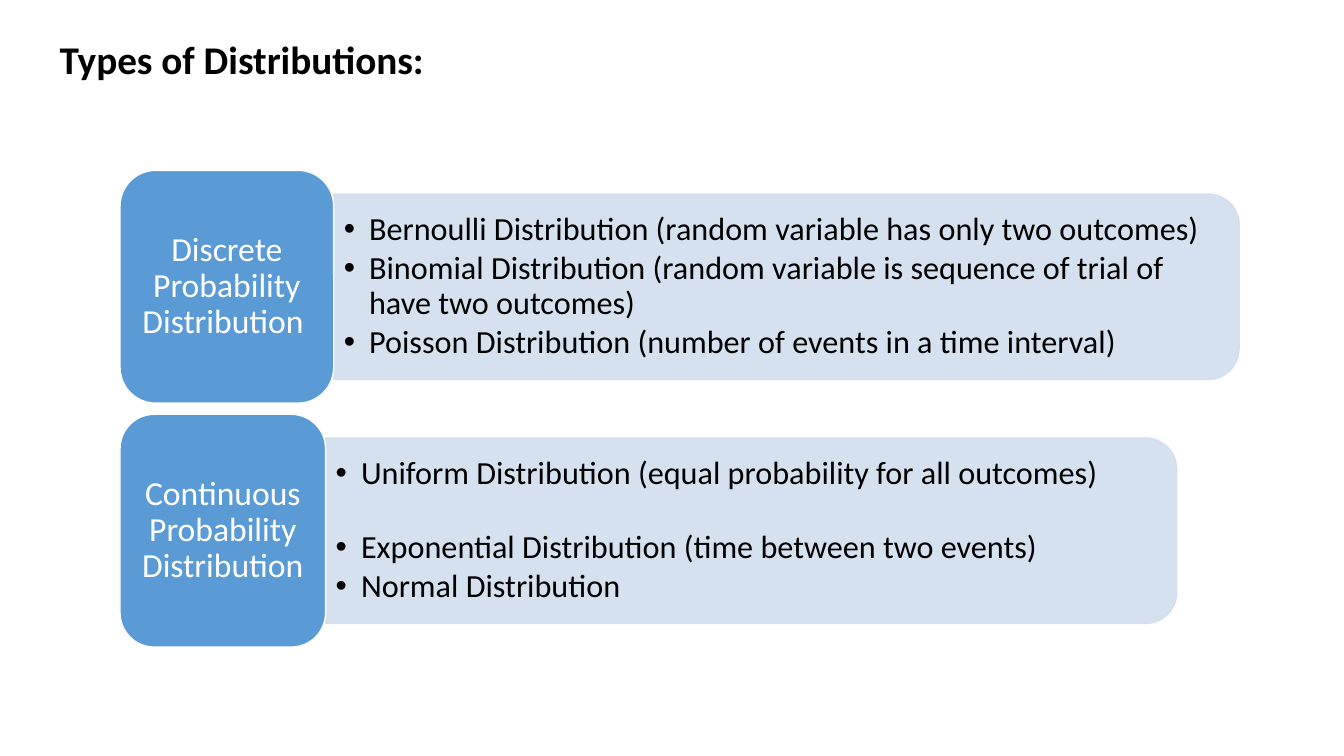
from dataclasses import dataclass

from lxml.etree import SubElement
from pptx import Presentation
from pptx.dml.color import RGBColor
from pptx.enum.shapes import MSO_SHAPE as Preset
from pptx.enum.text import MSO_ANCHOR as Anchor, MSO_AUTO_SIZE as AutoSize, PP_ALIGN as Align
from pptx.oxml.ns import qn
from pptx.shapes.autoshape import Shape
from pptx.slide import Slide
from pptx.text.text import _Paragraph as Paragraph
from pptx.util import Inches, Pt

SLIDE_WIDTH, SLIDE_HEIGHT = Inches(13.33), Inches(7.5)
FONT = "Calibri"
BLACK, WHITE, BLUE, PALE_BLUE = "000000", "FFFFFF", "5B9BD5", "D2DEEF"

# Columns and rows are hundredths of the slide's width and height.
LABEL_LEFT, LABEL_HEIGHT, LABEL_INSET = 8.93, 30.8, 0.4
PANEL_HEIGHT = 24.53
TEXT_TRIM_COLUMNS, TEXT_TRIM_ROWS = 0.67, 2.4
FIRST_CENTER, GROUP_PITCH = 37.93, 32.27
BULLET_INDENT = 1.88
BULLET_GAP = 3


@dataclass(frozen=True)
class Family:
    """A label and its list; widths in columns, first_gap in points."""
    name: str
    members: tuple[str, ...]
    label_width: float
    panel_width: float
    first_gap: float = BULLET_GAP


FAMILIES = (
    Family("Discrete Probability Distribution ", (
        "Bernoulli Distribution (random variable has only two outcomes)",
        "Binomial Distribution (random variable is sequence of trial of have two outcomes)",
        "Poisson Distribution (number of events in a time interval)",
    ), 15.9, 67.37),
    Family("Continuous Probability Distribution", (
        "Uniform Distribution (equal probability for all outcomes)",
        "Exponential Distribution (time between two events)",
        "Normal Distribution",
    ), 15.3, 63.32, first_gap=28),
)


def columns(count: float) -> int:
    return round(SLIDE_WIDTH * count / 100)


def rows(count: float) -> int:
    return round(SLIDE_HEIGHT * count / 100)


def color(value: str) -> RGBColor:
    return RGBColor.from_string(value)


def place(shape: Shape, left: int, top: int, width: int, height: int) -> None:
    shape.left, shape.top, shape.width, shape.height = left, top, width, height


def format_paragraph(paragraph: Paragraph, size: float, ink: str, align: Align,
                     bold: bool = False) -> None:
    paragraph.alignment = align
    paragraph.line_spacing = 0.9
    paragraph.space_before = Pt(0)
    font = paragraph.font
    font.name, font.size, font.bold = FONT, Pt(size), bold
    font.color.rgb = color(ink)


def add_block(slide: Slide, preset: Preset, box: tuple[int, int, int, int],
              fill: str, line: str) -> Shape:
    block = slide.shapes.add_shape(preset, *box)
    block.shadow.inherit = False
    block.fill.solid()
    block.fill.fore_color.rgb = color(fill)
    block.line.color.rgb = color(line)
    block.line.width = Pt(1)
    return block


def add_panel(slide: Slide, family: Family, center: float) -> None:
    """Draw the pale panel: a tall shape turned so its round corners face right."""
    length, thickness = columns(family.panel_width), rows(PANEL_HEIGHT)
    middle = columns(LABEL_LEFT + family.label_width) + length // 2
    box = (middle - thickness // 2, rows(center) - length // 2, thickness, length)
    panel = add_block(slide, Preset.ROUND_2_SAME_RECTANGLE, box, PALE_BLUE, PALE_BLUE)
    panel.rotation = 90
    for tint in panel.element.spPr.iter(qn("a:srgbClr")):
        SubElement(tint, qn("a:alpha"), val="90000")


def add_label(slide: Slide, family: Family, center: float) -> None:
    box = (columns(LABEL_LEFT), rows(center - LABEL_HEIGHT / 2),
           columns(family.label_width), rows(LABEL_HEIGHT))
    frame = add_block(slide, Preset.ROUNDED_RECTANGLE, box, BLUE, WHITE).text_frame
    frame.word_wrap = True
    frame.vertical_anchor = Anchor.MIDDLE
    frame.margin_left = frame.margin_right = columns(LABEL_INSET)
    frame.text = family.name
    format_paragraph(frame.paragraphs[0], 24, WHITE, Align.CENTER)


def fill_list(body: Shape, family: Family, center: float) -> None:
    height = PANEL_HEIGHT - TEXT_TRIM_ROWS
    place(body, columns(LABEL_LEFT + family.label_width), rows(center - height / 2),
          columns(family.panel_width - TEXT_TRIM_COLUMNS), rows(height))
    frame = body.text_frame
    frame.auto_size = AutoSize.NONE
    frame.vertical_anchor = Anchor.MIDDLE
    frame.text = "\n".join(family.members)
    for index, paragraph in enumerate(frame.paragraphs):
        properties = paragraph._p.get_or_add_pPr()
        properties.set("marL", str(columns(BULLET_INDENT)))
        properties.set("indent", str(-columns(BULLET_INDENT)))
        SubElement(properties, qn("a:buChar"), char="•")
        format_paragraph(paragraph, 23, BLACK, Align.LEFT)
        paragraph.space_after = Pt(BULLET_GAP if index else family.first_gap)
    # Bring the list in front of its panel.
    body.element.getparent().append(body.element)


def fill_title(title: Shape) -> None:
    place(title, columns(3.68), rows(3.6), columns(89.42), rows(9.2))
    frame = title.text_frame
    frame.auto_size = AutoSize.NONE
    frame.vertical_anchor = Anchor.MIDDLE
    frame.text = "Types of Distributions:"
    format_paragraph(frame.paragraphs[0], 28, BLACK, Align.LEFT, bold=True)


def main() -> None:
    presentation = Presentation()
    presentation.slide_width, presentation.slide_height = SLIDE_WIDTH, SLIDE_HEIGHT
    two_content_layout = presentation.slide_layouts[3]
    slide = presentation.slides.add_slide(two_content_layout)
    title, *bodies = list(slide.placeholders)
    fill_title(title)
    for index, (family, body) in enumerate(zip(FAMILIES, bodies)):
        center = FIRST_CENTER + index * GROUP_PITCH
        add_panel(slide, family, center)
        fill_list(body, family, center)
        add_label(slide, family, center)
    presentation.save("out.pptx")


if __name__ == "__main__":
    main()
